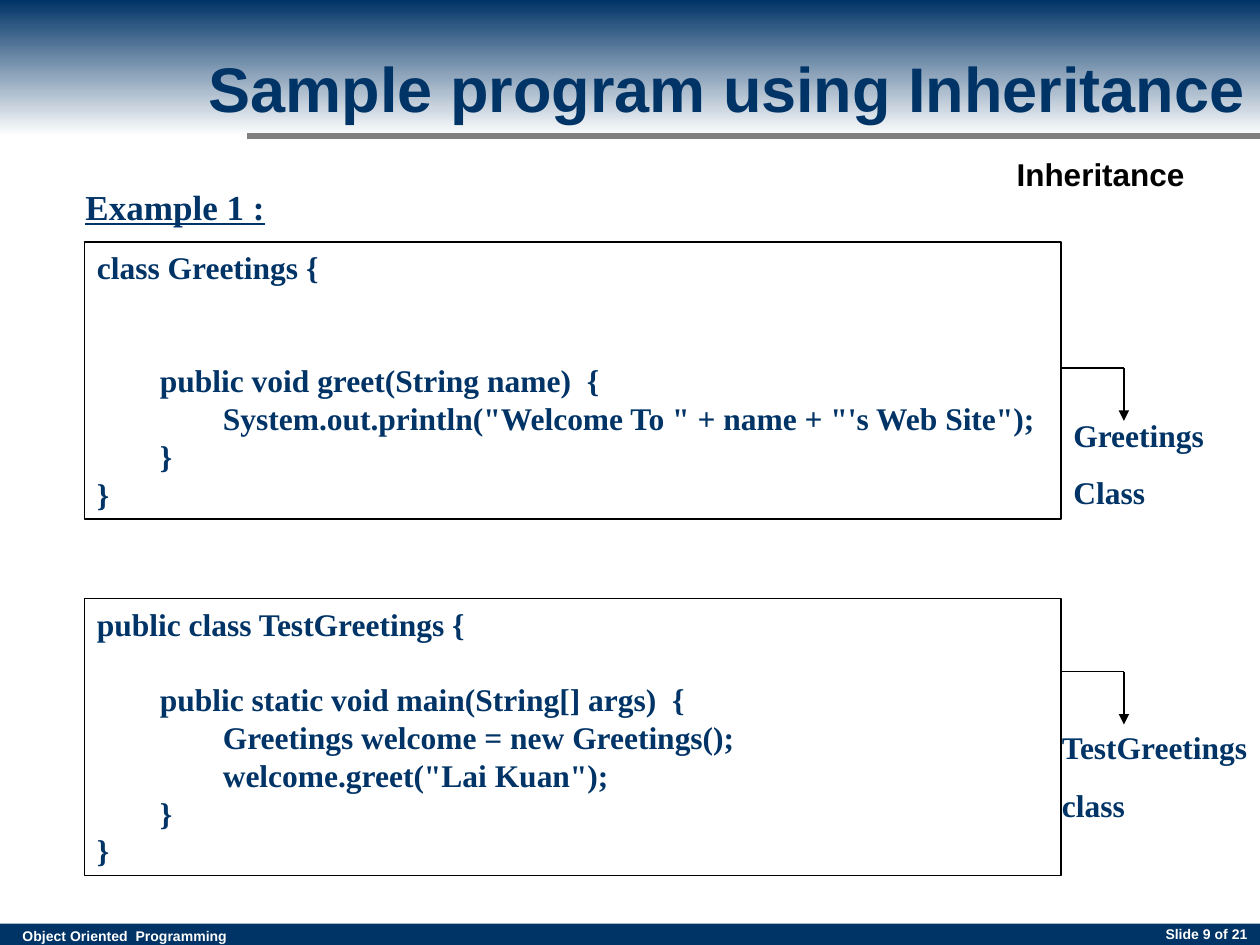
from lxml.etree import SubElement
from pptx import Presentation
from pptx.dml.color import RGBColor
from pptx.enum.shapes import MSO_CONNECTOR, MSO_SHAPE
from pptx.enum.text import MSO_ANCHOR as Anchor, PP_ALIGN as Align
from pptx.oxml.ns import qn
from pptx.util import Inches, Pt

NAVY = RGBColor(0x00, 0x33, 0x66)
GRAY = RGBColor(0x80, 0x80, 0x80)
BLACK = RGBColor(0x00, 0x00, 0x00)
WHITE = RGBColor(0xFF, 0xFF, 0xFF)

SERIF = {"name": "Times New Roman", "size": Pt(18), "bold": True}
SANS = {"name": "Arial", "size": Pt(18), "bold": True}
LINE_HEIGHT = 21.6
INDENT = Inches(0.5)

# Each code line: indent level, blank lines above it, text
GREETINGS_CODE = [
    (0, 0, "class Greetings {"),
    (1, 2, "public void greet(String name)  {"),
    (2, 0, "System.out.println(\"Welcome To \" + name + \"'s Web Site\");"),
    (1, 0, "}"),
    (0, 0, "}"),
]
TEST_CODE = [
    (0, 0, "public class TestGreetings {"),
    (1, 1, "public static void main(String[] args)  {"),
    (2, 0, "Greetings welcome = new Greetings();"),
    (2, 0, "welcome.greet(\"Lai Kuan\");"),
    (1, 0, "}"),
    (0, 0, "}"),
]


def add_paragraph(frame, index, text, font, color, **paragraph_format):
    paragraph = frame.add_paragraph() if index else frame.paragraphs[0]
    for name, value in paragraph_format.items():
        setattr(paragraph, name, value)
    run = paragraph.add_run()
    run.text = text
    for name, value in font.items():
        setattr(run.font, name, value)
    run.font.color.rgb = color
    return paragraph


def add_text(slide, box, lines, font, color=NAVY, anchor=Anchor.TOP,
             **paragraph_format):
    frame = slide.shapes.add_textbox(*map(Inches, box)).text_frame
    frame.word_wrap = True
    frame.vertical_anchor = anchor
    for index, line in enumerate(lines):
        add_paragraph(frame, index, line, font, color, **paragraph_format)


def add_rectangle(slide, box):
    shape = slide.shapes.add_shape(MSO_SHAPE.RECTANGLE, *map(Inches, box))
    shape.shadow.inherit = False
    shape.line.fill.background()
    return shape


def add_line(slide, start, end, color=BLACK, width=0.75, arrow=False):
    connector = slide.shapes.add_connector(
        MSO_CONNECTOR.STRAIGHT, *map(Inches, (*start, *end)))
    connector.line.color.rgb = color
    connector.line.width = Pt(width)
    if arrow:
        SubElement(connector.line._get_or_add_ln(), qn("a:tailEnd"), type="triangle")
    SubElement(connector._element.spPr, qn("a:effectLst"))


def add_header(slide, box):
    left, top, width, height = box
    fill = add_rectangle(slide, box).fill
    fill.gradient()
    fill.gradient_angle = 270
    for stop, color in zip(fill.gradient_stops, (NAVY, WHITE)):
        stop.color.rgb = color
    bottom = top + height
    add_line(slide, (left + 1.96, bottom), (left + width, bottom), GRAY, 3)
    add_text(slide, (left + 1.56, top + 0.19, 8.75, 1),
             ["Sample program using Inheritance"], SANS | {"size": Pt(36)},
             anchor=Anchor.MIDDLE)
    add_text(slide, (left + 7.97, bottom + 0.1, 1.7, 0.4), ["Inheritance"],
             SANS, BLACK)


def add_footer(slide, box):
    left, top, width, _ = box
    fill = add_rectangle(slide, box).fill
    fill.solid()
    fill.fore_color.rgb = NAVY
    small = SANS | {"size": Pt(8)}
    add_text(slide, (left + 0.08, top - 0.02, 1.88, 0.24),
             ["Object Oriented  Programming"], small, WHITE)
    add_text(slide, (left + width - 2.33, top - 0.03, 2.33, 0.27),
             ["Slide 9 of 21"], small, WHITE, alignment=Align.RIGHT)


def add_code_box(slide, box, code):
    shape = add_rectangle(slide, box)
    shape.fill.background()
    shape.line.color.rgb = BLACK
    shape.line.width = Pt(0.75)
    frame = shape.text_frame
    frame.word_wrap = True
    frame.vertical_anchor = Anchor.TOP
    for index, (level, blanks, text) in enumerate(code):
        paragraph = add_paragraph(
            frame, index, text, SERIF, NAVY, alignment=Align.LEFT,
            line_spacing=Pt(LINE_HEIGHT), space_before=Pt(blanks * LINE_HEIGHT))
        paragraph._p.get_or_add_pPr().set("marL", str(level * INDENT))


def add_class_label(slide, box, lines, corner):
    """Label a code box, with an elbow arrow that turns down at the corner."""
    x, y = corner
    add_line(slide, (x - 0.5, y), corner)
    add_line(slide, corner, (x, y + 0.42), arrow=True)
    add_text(slide, box, lines, SERIF, line_spacing=Pt(LINE_HEIGHT),
             space_before=Pt(11.2))


def main():
    presentation = Presentation()
    presentation.slide_width = Inches(10)
    presentation.slide_height = Inches(7.5)
    slide = presentation.slides.add_slide(presentation.slide_layouts[6])

    add_header(slide, (0, 0, 10, 1.08))
    add_footer(slide, (0, 7.33, 10, 0.17))
    add_text(slide, (0.58, 1.42, 3.33, 0.44), ["Example 1 :"],
             SERIF | {"size": Pt(20), "underline": True})
    add_code_box(slide, (0.67, 1.92, 7.75, 2.2), GREETINGS_CODE)
    add_class_label(slide, (8.42, 3.25, 1.58, 0.86), ["Greetings", "Class"],
                    (8.92, 2.92))
    add_code_box(slide, (0.67, 4.75, 7.75, 2.2), TEST_CODE)
    add_class_label(slide, (8.33, 5.73, 2.33, 0.86), ["TestGreetings", "class"],
                    (8.92, 5.33))
    presentation.save("out.pptx")


if __name__ == "__main__":
    main()
